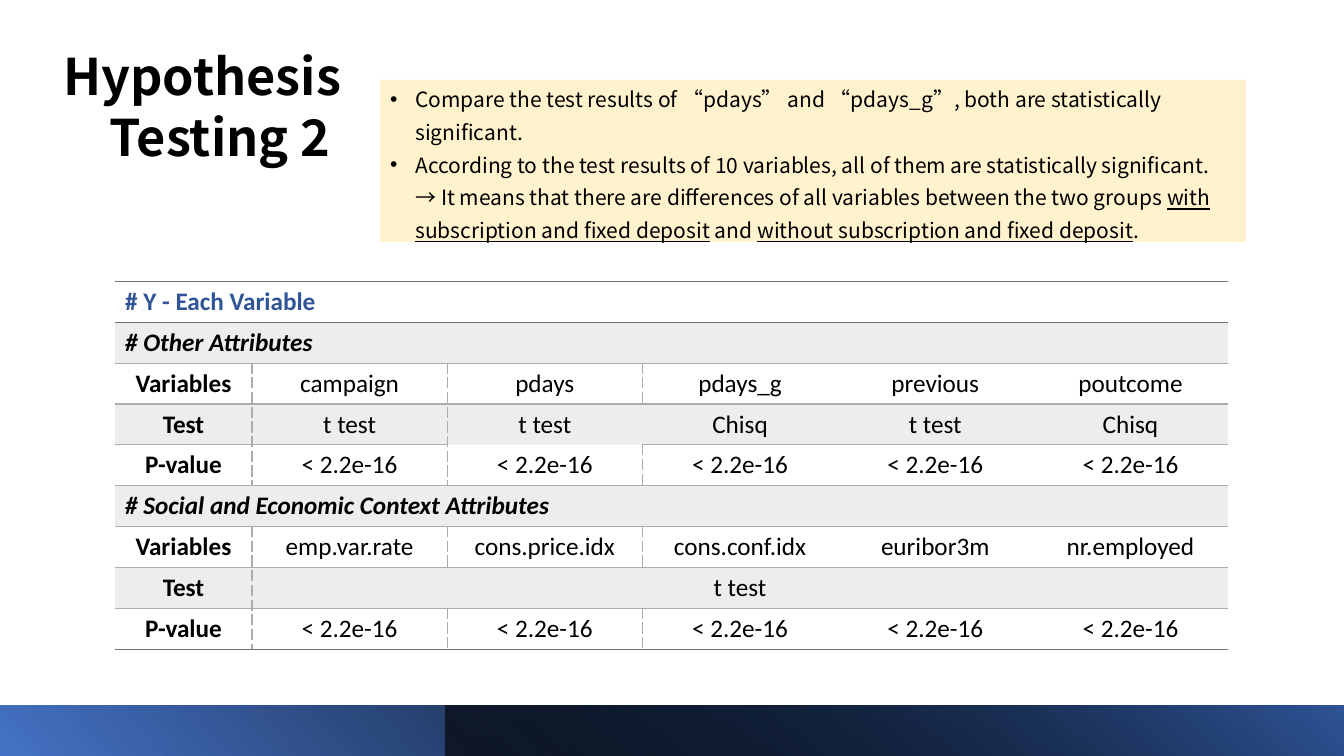
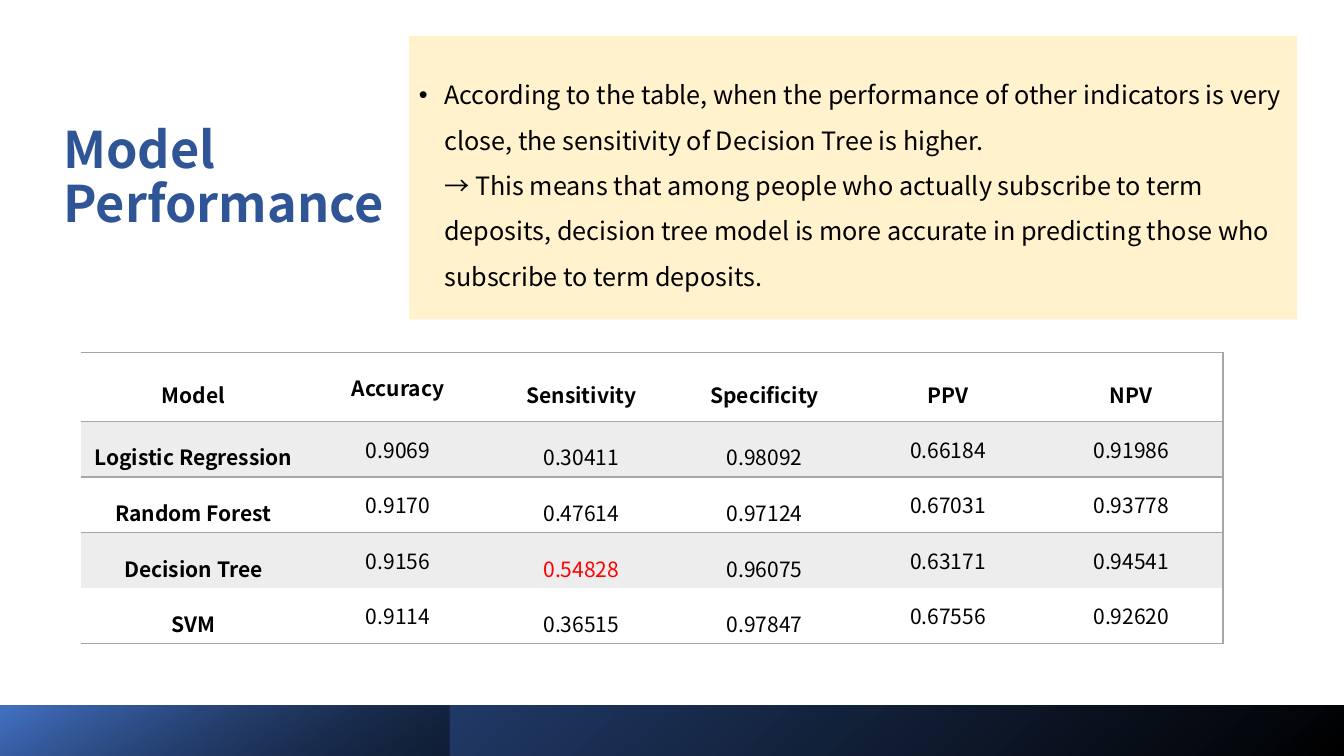
import pptx
import pptx.dml.color
import pptx.enum.shapes
import pptx.enum.text
import pptx.oxml.ns
import pptx.util
from lxml import etree

Cm = pptx.util.Cm
Pt = pptx.util.Pt
qn = pptx.oxml.ns.qn
ALIGN = pptx.enum.text.PP_ALIGN
ANCHOR = pptx.enum.text.MSO_ANCHOR

COLORS = {
    "black": "000000", "blue": "4472C4", "navy": "2F5597", "cream": "FFF2CC",
    "stripe": "EDEDED", "rule": "AFABAB", "dark_rule": "767171",
    "gray_rule": "A6A6A6", "red": "FF0000",
}
TITLE_FONT = "Noto Sans CJK TC"
NO_GRID_STYLE = "{2D5ABB26-0587-4C30-8999-92F81FD0307C}"
EDGE_ORDER = [qn("a:ln" + side) for side in "LRTB"]
SLIDE_WIDTH, SLIDE_HEIGHT, BAND_HEIGHT = 33.87, 19.05, 1.27

HYPOTHESIS_NOTE = [
    ["Compare the test results of “pdays” and “pdays_g”, both are statistically significant."],
    ["According to the test results of 10 variables, all of them are statistically significant.",
     "\n",
     "→ It means that there are differences of all variables between the two groups ",
     ("with subscription and fixed deposit",), " and ",
     ("without subscription and fixed deposit",), "."],
]
PERFORMANCE_NOTE = [
    ["According to the table, when the performance of other indicators is very close, "
     "the sensitivity of Decision Tree is higher.",
     "\n",
     "→ This means that among people who actually subscribe to term deposits, decision tree "
     "model is more accurate in predicting those who subscribe to term deposits."],
]
P_VALUES = ["P-value"] + ["< 2.2e-16"] * 5
HYPOTHESIS_ROWS = [
    ["# Y - Each Variable"],
    ["# Other Attributes"],
    ["Variables", "campaign", "pdays", "pdays_g", "previous", "poutcome"],
    ["Test", "t test", "t test", "Chisq", "t test", "Chisq"],
    P_VALUES,
    ["# Social and Economic Context Attributes"],
    ["Variables", "emp.var.rate", "cons.price.idx", "cons.conf.idx", "euribor3m", "nr.employed"],
    ["Test", "t test"],
    P_VALUES,
]
PERFORMANCE_ROWS = [
    ["Model", "Accuracy", "Sensitivity", "Specificity", "PPV", "NPV"],
    ["Logistic Regression", "0.9069", "0.30411", "0.98092", "0.66184", "0.91986"],
    ["Random Forest", "0.9170", "0.47614", "0.97124", "0.67031", "0.93778"],
    ["Decision Tree", "0.9156", "0.54828", "0.96075", "0.63171", "0.94541"],
    ["SVM", "0.9114", "0.36515", "0.97847", "0.67556", "0.92620"],
]


def rgb(name):
    """Return the named colour."""
    return pptx.dml.color.RGBColor.from_string(COLORS[name])


def style_paragraph(paragraph, font_name, size, color="black", bold=False, italic=False):
    """Set one font for Latin and East Asian text of a paragraph."""
    font = paragraph.font
    font.size, font.bold, font.italic = Pt(size), bold, italic
    font.color.rgb = rgb(color)
    font.name = font_name
    properties = paragraph._p.get_or_add_pPr().find(qn("a:defRPr"))
    etree.SubElement(properties, qn("a:ea")).set("typeface", font_name)


def add_rectangle(slide, box):
    """Add a rectangle without line or shadow."""
    kind = pptx.enum.shapes.MSO_SHAPE.RECTANGLE
    shape = slide.shapes.add_shape(kind, *map(Cm, box))
    shape.shadow.inherit = False
    shape.line.fill.background()
    return shape


def add_band(slide, left, width, stops, angle, flipped=False, rotation=0):
    """Add a gradient band at the foot; stops are (position, colour, opacity)."""
    shape = add_rectangle(slide, (left, SLIDE_HEIGHT - BAND_HEIGHT, width, BAND_HEIGHT))
    shape.rotation = rotation
    if flipped:
        shape._element.spPr.find(qn("a:xfrm")).set("flipH", "1")
    shape.fill.gradient()
    shape.fill.gradient_angle = 360 - angle
    for stop, (position, color, _) in zip(shape.fill.gradient_stops, stops):
        stop.position = position
        stop.color.rgb = rgb(color)
    gradient = shape._element.spPr.find(qn("a:gradFill"))
    for color, (_, _, opacity) in zip(gradient.iter(qn("a:srgbClr")), stops):
        if opacity < 100:
            etree.SubElement(color, qn("a:alpha")).set("val", str(opacity * 1000))


def add_title(slide, box, lines, color, anchor, spacing=1.0, second_indent=0):
    """Add a two-line title."""
    frame = slide.shapes.add_textbox(*map(Cm, box)).text_frame
    frame.word_wrap = True
    frame.vertical_anchor = anchor
    frame.text = "\n".join(lines)
    for paragraph in frame.paragraphs:
        paragraph.line_spacing = spacing
        style_paragraph(paragraph, TITLE_FONT, 36, color, bold=True)
    frame.paragraphs[1]._p.get_or_add_pPr().set("marL", str(Cm(second_indent)))


def add_note(slide, box, notes, size, spacing):
    """Add a cream box of bullets; a piece in a tuple is underlined."""
    shape = add_rectangle(slide, box)
    shape.fill.solid()
    shape.fill.fore_color.rgb = rgb("cream")
    frame = shape.text_frame
    frame.word_wrap = True
    frame.vertical_anchor = ANCHOR.MIDDLE
    for index, pieces in enumerate(notes):
        paragraph = frame.add_paragraph() if index else frame.paragraphs[0]
        properties = paragraph._p.get_or_add_pPr()
        properties.set("marL", str(Cm(0.64)))
        properties.set("indent", str(-Cm(0.64)))
        etree.SubElement(properties, qn("a:buFont")).set("typeface", "Arial")
        etree.SubElement(properties, qn("a:buChar")).set("char", "•")
        paragraph.alignment = ALIGN.LEFT
        paragraph.line_spacing = spacing
        style_paragraph(paragraph, TITLE_FONT, size)
        for piece in pieces:
            if piece == "\n":
                paragraph.add_line_break()
                continue
            run = paragraph.add_run()
            run.text = "".join(piece)
            if isinstance(piece, tuple):
                run.font.underline = True


def set_edge(cell, side, color, dashed):
    """Draw one edge of a cell."""
    properties = cell._tc.get_or_add_tcPr()
    tag = qn("a:ln" + side)
    earlier = EDGE_ORDER[:EDGE_ORDER.index(tag)]
    line = etree.Element(tag, w=str(Pt(1)))
    properties.insert(sum(child.tag in earlier for child in properties), line)
    fill = etree.SubElement(line, qn("a:solidFill"))
    etree.SubElement(fill, qn("a:srgbClr")).set("val", COLORS[color])
    if dashed:
        etree.SubElement(line, qn("a:prstDash")).set("val", "sysDash")


def rule_below(table, row_count, color, columns=range(6)):
    """Draw a horizontal rule below the first rows of a table."""
    for column in columns:
        if row_count:
            set_edge(table.cell(row_count - 1, column), "B", color, False)
        if row_count < len(table.rows):
            set_edge(table.cell(row_count, column), "T", color, False)


def rule_after(table, column_count, color, rows, dashed=False):
    """Draw a vertical rule after the first columns of a table."""
    for row in rows:
        set_edge(table.cell(row, column_count - 1), "R", color, dashed)
        if column_count < len(table.columns):
            set_edge(table.cell(row, column_count), "L", color, dashed)


def add_plain_table(slide, left, top, widths, heights, striped_rows):
    """Add a table with no grid and a few shaded rows."""
    frame = slide.shapes.add_table(len(heights), len(widths), Cm(left), Cm(top),
                                   Cm(sum(widths)), Cm(sum(heights)))
    table = frame.table
    table.first_row = table.horz_banding = False
    table._tbl.tblPr.find(qn("a:tableStyleId")).text = NO_GRID_STYLE
    for column, width in zip(table.columns, widths):
        column.width = Cm(width)
    for index, (row, height) in enumerate(zip(table.rows, heights)):
        row.height = Cm(height)
        for cell in row.cells:
            cell.vertical_anchor = ANCHOR.MIDDLE
            if index in striped_rows:
                cell.fill.solid()
                cell.fill.fore_color.rgb = rgb("stripe")
            else:
                cell.fill.background()
    return table


def add_hypothesis_table(slide, left, top):
    """Add the table of tests for each variable."""
    table = add_plain_table(slide, left, top, [3.45] + [4.92] * 5, [1.03] * 9, {1, 3, 5, 7})
    for row, texts in enumerate(HYPOTHESIS_ROWS):
        if len(texts) < 6:
            table.cell(row, len(texts) - 1).merge(table.cell(row, 5))
        heading = len(texts) == 1
        for column, text in enumerate(texts):
            cell = table.cell(row, column)
            cell.text = text
            paragraph = cell.text_frame.paragraphs[0]
            paragraph.alignment = ALIGN.LEFT if heading else ALIGN.CENTER
            style_paragraph(paragraph, "Calibri", 18, "black" if row else "navy",
                            bold=column == 0, italic=heading and row > 0)
    for row_count in (0, 1, 9):
        rule_below(table, row_count, "dark_rule")
    for row_count in (2, 5, 6, 7):
        rule_below(table, row_count, "rule")
    rule_below(table, 3, "rule", (0, 1, 3, 4, 5))
    rule_after(table, 1, "rule", (2, 3, 4, 6, 7, 8), dashed=True)
    rule_after(table, 2, "rule", (2, 4, 6, 8), dashed=True)


def add_performance_table(slide, left, top):
    """Add the table of model scores."""
    table = add_plain_table(slide, left, top, [5.69] + [4.62] * 5, [1.73] + [1.4] * 4, {1, 3})
    for row, texts in enumerate(PERFORMANCE_ROWS):
        for column, text in enumerate(texts):
            cell = table.cell(row, column)
            cell.margin_top = cell.margin_bottom = 0
            cell.text = text
            paragraph = cell.text_frame.paragraphs[0]
            paragraph.alignment = ALIGN.CENTER
            single = column == 1 or (row > 0 and column > 3)
            paragraph.line_spacing = 1.0 if single else 1.5
            style_paragraph(paragraph, "Noto Sans CJK SC", 15,
                            "red" if text == "0.54828" else "black",
                            bold=row == 0 or column == 0)
    for row_count in (0, 1, 2, 5):
        rule_below(table, row_count, "gray_rule")
    rule_after(table, 6, "gray_rule", range(5))


def build_hypothesis_slide(slide):
    """Build the slide on hypothesis testing."""
    add_band(slide, 0, SLIDE_WIDTH, [(0, "blue", 100), (0.78, "black", 100)], 40,
             flipped=True, rotation=180)
    add_note(slide, (9.58, 2.01, 21.82, 4.09), HYPOTHESIS_NOTE, 15, 1.3)
    add_band(slide, 11.22, SLIDE_WIDTH - 11.22, [(0, "black", 63), (1, "navy", 100)], 230,
             flipped=True)
    add_hypothesis_table(slide, 2.9, 7.09)
    add_title(slide, (1.35, 1.02, 8.1, 3.68), ["Hypothesis", "Testing 2"], "black",
              ANCHOR.TOP, second_indent=1.16)


def build_performance_slide(slide):
    """Build the slide on model performance."""
    add_band(slide, 0, SLIDE_WIDTH, [(0, "black", 100), (1, "navy", 100)], 230)
    add_band(slide, 0, 11.33, [(0, "black", 46), (0.99, "blue", 100)], 240)
    add_title(slide, (1.35, 0.99, 8.81, 7.06), ["Model", "Performance"], "navy",
              ANCHOR.MIDDLE, spacing=0.9)
    add_performance_table(slide, 2.03, 8.89)
    add_note(slide, (10.31, 0.91, 22.38, 7.14), PERFORMANCE_NOTE, 18, 1.5)


def main():
    """Build and save the presentation."""
    presentation = pptx.Presentation()
    presentation.slide_width, presentation.slide_height = Cm(SLIDE_WIDTH), Cm(SLIDE_HEIGHT)
    for build in (build_hypothesis_slide, build_performance_slide):
        build(presentation.slides.add_slide(presentation.slide_layouts[6]))
    presentation.save("out.pptx")


if __name__ == "__main__":
    main()
